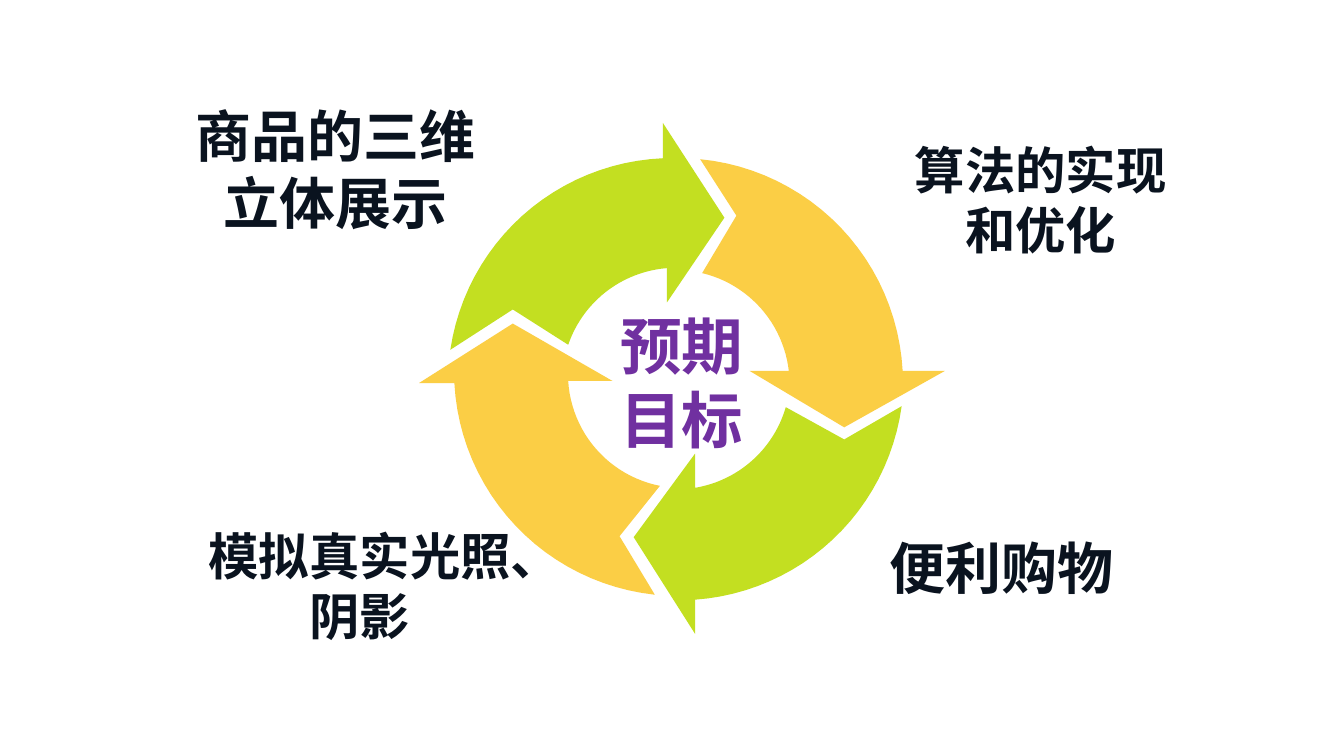
from math import atan2, cos, hypot, sin, sqrt, tau

from pptx import Presentation
from pptx.dml.color import RGBColor
from pptx.enum.text import PP_ALIGN
from pptx.util import Inches, Pt

GREEN = RGBColor(0xC3, 0xDF, 0x21)
GOLD = RGBColor(0xFB, 0xCE, 0x45)
PURPLE = RGBColor(0x70, 0x30, 0xA0)
INK = RGBColor(0x0A, 0x13, 0x1F)
FONT = "Calibri"

INNER_RADIUS = 1.13
OUTER_RADIUS = 2.23
ARC_STEPS = 24

# Corner order: inner arc ends, inner barb, tip, outer barb, outer arc ends, notch.
ARROWS = [
    (GREEN, [(5.64, 3.42), (6.62, 2.66), (6.62, 3), (7.19, 2.16),
             (6.58, 1.22), (6.58, 1.57), (4.47, 3.47), (5.09, 3.07)]),
    (GREEN, [(7.8, 4.04), (6.9, 4.84), (6.9, 4.5), (6.29, 5.33),
             (6.9, 6.29), (6.9, 5.95), (8.95, 4.03), (8.38, 4.36)]),
    (GOLD, [(6.55, 4.82), (5.64, 3.78), (6.08, 3.78), (5.09, 3.21),
            (4.16, 3.8), (4.51, 3.8), (6.5, 5.9), (6.15, 5.32)]),
    (GOLD, [(6.97, 2.71), (7.83, 3.68), (7.44, 3.68), (8.38, 4.24),
            (9.38, 3.68), (8.96, 3.68), (6.95, 1.58), (7.31, 2.14)]),
]


def arc_points(start, end, radius, turn):
    (x1, y1), (x2, y2) = start, end
    chord = hypot(x2 - x1, y2 - y1)
    offset = turn * sqrt(radius ** 2 - chord ** 2 / 4) / chord
    center_x = (x1 + x2) / 2 - (y2 - y1) * offset
    center_y = (y1 + y2) / 2 + (x2 - x1) * offset
    first = atan2(y1 - center_y, x1 - center_x)
    last = atan2(y2 - center_y, x2 - center_x)
    sweep = turn * ((turn * (last - first)) % tau)
    angles = [first + sweep * step / ARC_STEPS for step in range(ARC_STEPS + 1)]
    return [(center_x + radius * cos(angle), center_y + radius * sin(angle))
            for angle in angles]


def add_cycle_arrow(page, color, corners):
    inner_start, inner_end, *head, outer_start, outer_end, notch = corners
    outline = [
        *arc_points(inner_start, inner_end, INNER_RADIUS, 1),
        *head,
        *arc_points(outer_start, outer_end, OUTER_RADIUS, -1),
        notch,
    ]
    points = [(Inches(x), Inches(y)) for x, y in outline]
    builder = page.shapes.build_freeform(*points[0])
    builder.add_line_segments(points[1:], close=True)
    arrow = builder.convert_to_shape()
    arrow.shadow.inherit = False
    arrow.fill.solid()
    arrow.fill.fore_color.rgb = color
    arrow.line.fill.background()


def add_label(page, text, left, top, width, height, size,
              color=INK, align=PP_ALIGN.CENTER):
    box = page.shapes.add_textbox(
        Inches(left), Inches(top), Inches(width), Inches(height))
    frame = box.text_frame
    frame.word_wrap = True
    frame.text = text
    for para in frame.paragraphs:
        para.alignment = align
        para.font.name = FONT
        para.font.size = Pt(size)
        para.font.bold = True
        para.font.color.rgb = color


def main():
    deck = Presentation()
    deck.slide_width = Inches(13.34)
    deck.slide_height = Inches(7.5)
    page = deck.slides.add_slide(deck.slide_layouts[6])
    for color, corners in ARROWS:
        add_cycle_arrow(page, color, corners)
    add_label(page, "预期\n目标", 6.06, 3.01, 1.79, 1.57, size=44,
              color=PURPLE, align=PP_ALIGN.LEFT)
    add_label(page, "便利购物", 8.73, 5.24, 2.94, 0.77, size=40,
              align=PP_ALIGN.LEFT)
    add_label(page, "商品的三维立体展示", 1.74, 0.96, 3.18, 1.44, size=40)
    add_label(page, "模拟真实光照、阴影", 1.95, 5.16, 3.24, 1.3, size=36)
    add_label(page, "算法的实现和优化", 8.86, 1.33, 2.94, 1.3, size=36)
    deck.save("out.pptx")


if __name__ == "__main__":
    main()
